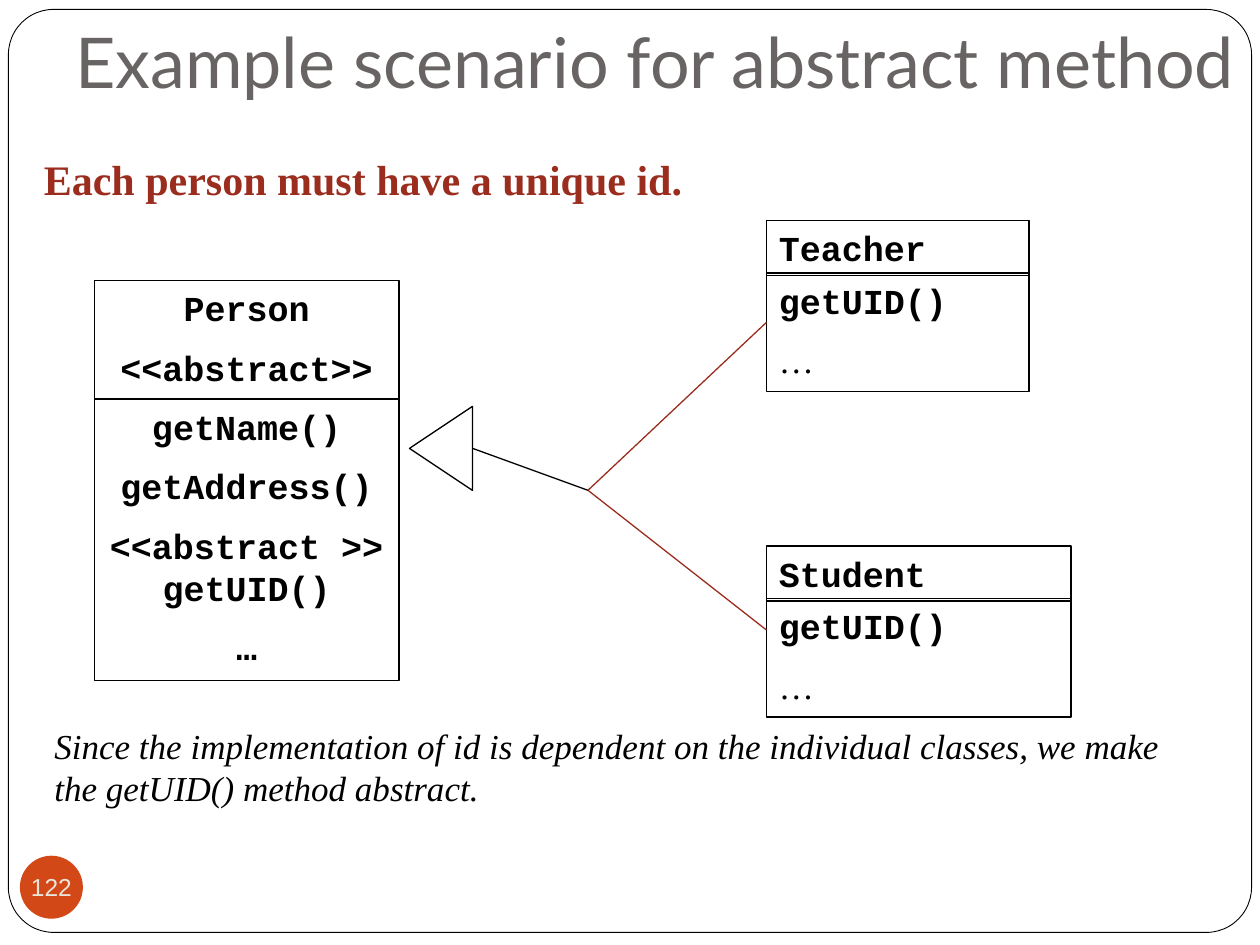
from pptx import Presentation
from pptx.dml.color import RGBColor
from pptx.enum.shapes import MSO_CONNECTOR as Connector, MSO_SHAPE as Preset
from pptx.enum.text import MSO_ANCHOR as Anchor, PP_ALIGN as Align
from pptx.oxml.ns import qn
from pptx.util import Inches, Pt
from lxml.etree import SubElement

COLORS = {"paper": "FFFFFF", "ink": "000000", "title": "696464",
          "accent": "9B2D1F", "badge": "D34817", "number": "E9E5DC"}
WIDTH, HEIGHT = Inches(10), Inches(7.5)
COLUMNS, ROWS = 120, 90
SERIF, MONO = "Times New Roman", "Courier New"


def color(name):
    """Return the named colour."""
    return RGBColor.from_string(COLORS[name])


def grid(box):
    """Turn columns and rows into slide lengths."""
    left, top, width, height = box
    return (int(left * WIDTH / COLUMNS), int(top * HEIGHT / ROWS),
            int(width * WIDTH / COLUMNS), int(height * HEIGHT / ROWS))


def add_shape(slide, preset, box, fill=None, line="ink", weight=0.75):
    """Add a flat preset shape with an optional fill and outline."""
    shape = slide.shapes.add_shape(preset, *grid(box))
    shape.shadow.inherit = False
    if fill:
        shape.fill.solid()
        shape.fill.fore_color.rgb = color(fill)
    else:
        shape.fill.background()
    if line:
        shape.line.color.rgb = color(line)
        shape.line.width = Pt(weight)
    else:
        shape.line.fill.background()
    return shape


def write(shape, lines, size=20, font=MONO, ink="ink", bold=False, italic=False,
          align=Align.LEFT, anchor=Anchor.TOP, wrap=True):
    """Write lines given as (text, space before) or (text, space before, font, bold)."""
    frame = shape.text_frame
    frame.word_wrap = wrap
    frame.vertical_anchor = anchor
    for index, (text, space, *style) in enumerate(lines):
        paragraph = frame.paragraphs[0] if index == 0 else frame.add_paragraph()
        paragraph.alignment = align
        paragraph.space_before = Pt(space)
        run = paragraph.add_run()
        run.text = text
        run.font.name, run.font.bold = style or (font, bold)
        run.font.size = Pt(size)
        run.font.italic = italic
        run.font.color.rgb = color(ink)
    return frame


def add_text(slide, box, text, **style):
    """Add a one-paragraph text box."""
    return write(slide.shapes.add_textbox(*grid(box)), [(text, 0)], **style)


def add_class(slide, box, name_height, body_top, name, members, align=Align.LEFT):
    """Add a class box with a name compartment above its members."""
    left, top, width, height = box
    parts = [((left, top, width, name_height), name),
             ((left, top + body_top, width, height - body_top), members)]
    for part, lines in parts:
        shape = add_shape(slide, Preset.RECTANGLE, part)
        write(shape, lines, bold=True, align=align)


def add_line(slide, start, end, ink):
    """Join two grid points with a thin line."""
    points = grid((*start, *end))
    line = slide.shapes.add_connector(Connector.STRAIGHT, *points)
    SubElement(line._element.spPr, qn("a:effectLst"))
    line.line.color.rgb = color(ink)
    line.line.width = Pt(0.75)


def add_frame(slide, box):
    """Add the rounded page frame and the page number badge."""
    frame = add_shape(slide, Preset.ROUNDED_RECTANGLE, box, "paper", weight=0.5)
    frame.adjustments[0] = 0.049
    left, top, width, height = box
    badge = add_shape(slide, Preset.OVAL, (left + 1.1, top + height - 7.3, 6, 6),
                      "badge", None)
    text = write(badge, [("122", 0)], size=14, font="Arial", ink="number",
                 align=Align.CENTER, anchor=Anchor.MIDDLE, wrap=False)
    text.margin_left = text.margin_right = text.margin_top = text.margin_bottom = 0


def add_headings(slide, box):
    """Add the slide title and the statement below it."""
    left, top, width, height = box
    title = add_text(slide, (left + 3, top, width - 3, 11), "Example scenario for abstract method",
                     size=40, font="Lato", ink="title", anchor=Anchor.BOTTOM)
    title.margin_bottom = Inches(0.1)
    add_text(slide, (left, top + height - 6, 72, 6), "Each person must have a unique id.",
             size=24, font=SERIF, ink="accent", bold=True)


def add_diagram(slide, box):
    """Add the class diagram with its inheritance lines."""
    left, top, width, height = box
    add_class(slide, (left, top + 5.7, 29, 38.1), 11.3, 11.3,
              [("Person", 0), ("<<abstract>>", 10)],
              [("getName()", 0), ("getAddress()", 10), ("<<abstract >>", 10),
               ("getUID()", 0), ("…", 10)], Align.CENTER)
    members = [("getUID()", 0), ("…", 10, SERIF, False)]
    for name, offset, columns in (("Student", 31, 29), ("Teacher", 0, 25)):
        add_class(slide, (left + 64, top + offset, columns, 16.3), 5.25, 5,
                  [(name, 0)], members)
    fork = (left + 47, top + 25.7)
    for row in (9.7, 39):
        add_line(slide, fork, (left + 64, top + row), "accent")
    triangle = add_shape(slide, Preset.ISOSCELES_TRIANGLE, (left + 29, top + 18.7, 8, 6))
    triangle.rotation = 270
    add_line(slide, (left + 36, top + 21.7), fork, "ink")


def main():
    """Build and save the slide."""
    presentation = Presentation()
    presentation.slide_width, presentation.slide_height = WIDTH, HEIGHT
    slide = presentation.slides.add_slide(presentation.slide_layouts[6])
    add_frame(slide, (0.8, 0.9, 118.4, 87.9))
    add_headings(slide, (3, 0, 117, 20))
    add_diagram(slide, (9, 21, 93, 47.3))
    add_text(slide, (4, 68.4, 110, 9.2),
             "Since the implementation of id is dependent on the individual classes, "
             "we make the getUID() method abstract.", font=SERIF, italic=True)
    presentation.save("out.pptx")


if __name__ == "__main__":
    main()
